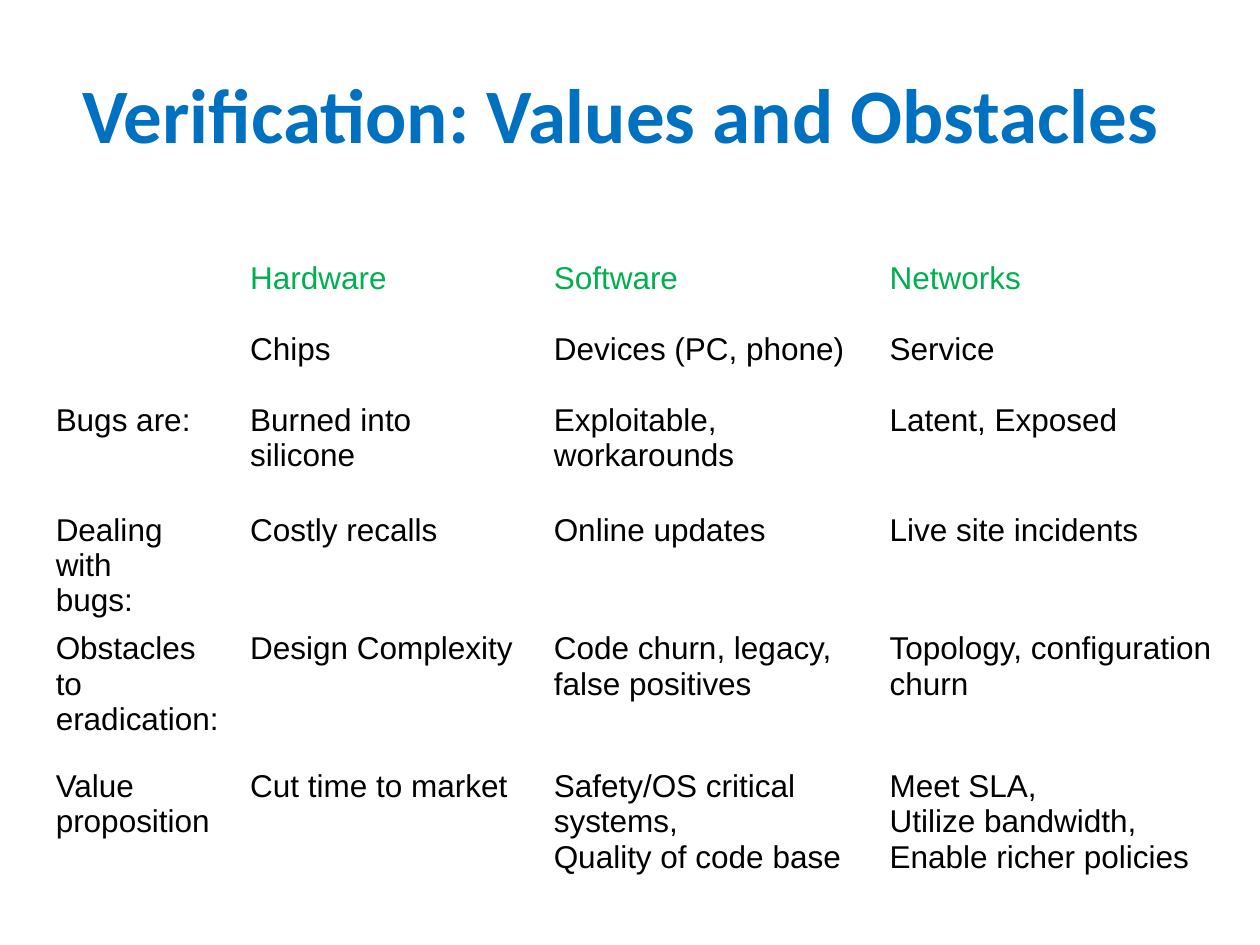
from dataclasses import dataclass

from pptx import Presentation
from pptx.dml.color import RGBColor
from pptx.enum.text import MSO_ANCHOR, PP_ALIGN
from pptx.slide import Slide
from pptx.text.text import TextFrame
from pptx.util import Cm, Pt

BLUE = RGBColor(0x00, 0x70, 0xC0)
GREEN = RGBColor(0x00, 0xB0, 0x50)
BLACK = RGBColor(0x00, 0x00, 0x00)

COLUMN_WIDTHS = (3.92, 6.12, 6.77, 7.46)


@dataclass(frozen=True)
class Row:
    """Table row; each cell is a tuple of paragraphs."""
    height: float
    cells: tuple[tuple[str, ...], ...]
    color: RGBColor = BLACK


ROWS = (
    Row(1.43, ((), ("Hardware",), ("Software",), ("Networks",)), GREEN),
    Row(1.43, ((), ("Chips",), ("Devices (PC, phone)",), ("Service",))),
    Row(2.22, (("Bugs are:",), ("Burned into\nsilicone",),
               ("Exploitable,\nworkarounds",), ("Latent, Exposed",))),
    Row(2.03, (("Dealing with\nbugs:",), ("Costly recalls",),
               ("Online updates",), ("Live site incidents",))),
    Row(2.78, (("Obstacles to eradication:",), ("Design Complexity",),
               ("Code churn, legacy, false positives",),
               ("Topology, configuration churn",))),
    Row(3.76, (("Value proposition",), ("Cut time to market",),
               ("Safety/OS critical systems,", "Quality of code base"),
               ("Meet SLA,", "Utilize bandwidth,", "Enable richer policies"))),
)


def write_text(frame: TextFrame, paragraphs: tuple[str, ...], *, size: float = 18,
               font: str = "Arial", color: RGBColor = BLACK, bold: bool = False,
               align: PP_ALIGN = PP_ALIGN.LEFT) -> None:
    """Fill a text frame; a newline inside a paragraph is a line break."""
    for index, text in enumerate(paragraphs):
        paragraph = frame.add_paragraph() if index else frame.paragraphs[0]
        paragraph.text = text
        paragraph.alignment = align
        for run in paragraph.runs:
            run.font.name = font
            run.font.size = Pt(size)
            run.font.bold = bold
            run.font.color.rgb = color


def add_title(slide: Slide, text: str) -> None:
    title = slide.shapes.title
    title.left, title.top = Cm(1.09), Cm(0.69)
    title.width, title.height = Cm(22.86), Cm(3.18)
    title.text_frame.vertical_anchor = MSO_ANCHOR.MIDDLE
    write_text(title.text_frame, (text,), size=44, font="Calibri", color=BLUE,
               bold=True, align=PP_ALIGN.CENTER)


def add_comparison_table(slide: Slide, rows: tuple[Row, ...]) -> None:
    table = slide.shapes.add_table(
        len(rows), len(COLUMN_WIDTHS), Cm(0.87), Cm(5.13),
        Cm(sum(COLUMN_WIDTHS)), Cm(sum(row.height for row in rows))).table
    table.first_row = table.horz_banding = False
    for column, width in zip(table.columns, COLUMN_WIDTHS):
        column.width = Cm(width)
    for table_row, row in zip(table.rows, rows):
        table_row.height = Cm(row.height)
        for cell, paragraphs in zip(table_row.cells, row.cells):
            cell.fill.background()
            write_text(cell.text_frame, paragraphs, color=row.color)


def main() -> None:
    presentation = Presentation()
    presentation.slide_width, presentation.slide_height = Cm(25.4), Cm(19.05)
    # Title-only layout
    slide = presentation.slides.add_slide(presentation.slide_layouts[5])
    add_title(slide, "Verification: Values and Obstacles")
    add_comparison_table(slide, ROWS)
    presentation.save("out.pptx")


if __name__ == "__main__":
    main()
